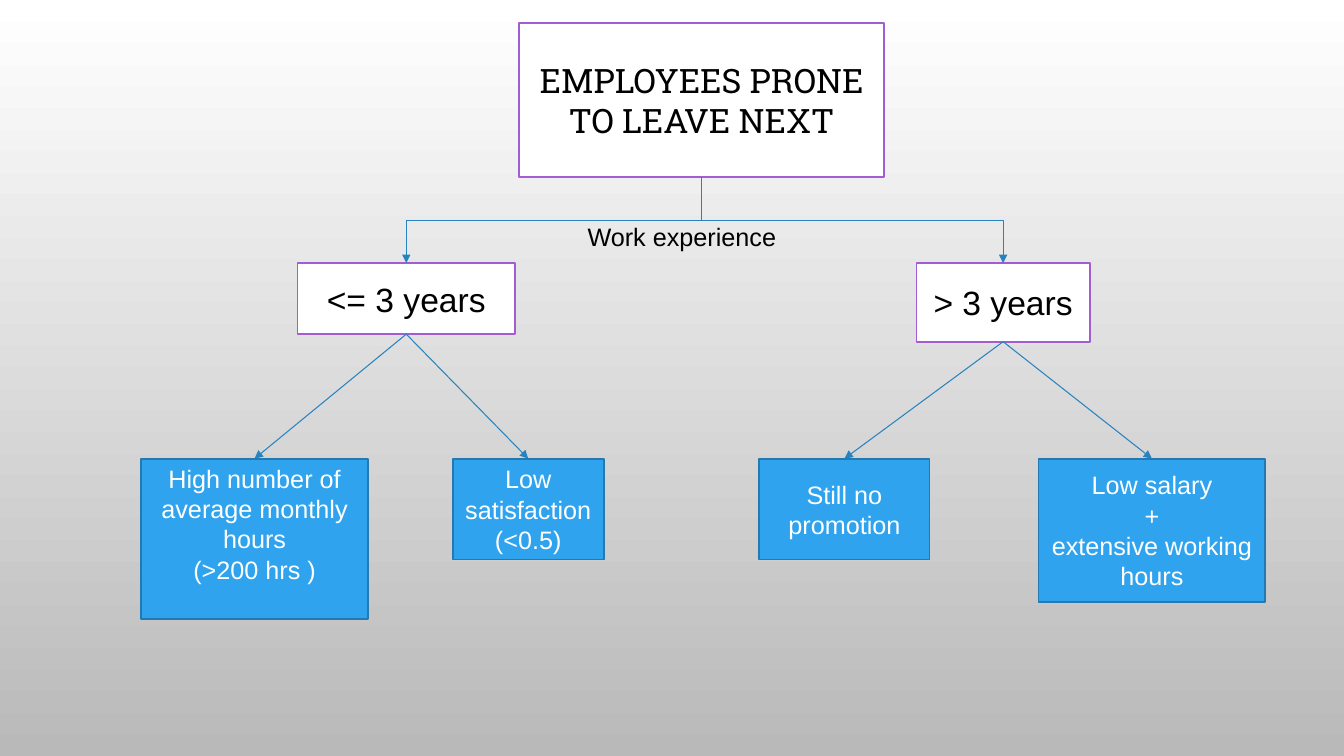
from pptx import Presentation
from pptx.dml.color import RGBColor
from pptx.enum.shapes import MSO_CONNECTOR, MSO_SHAPE
from pptx.enum.text import MSO_ANCHOR, MSO_AUTO_SIZE, PP_ALIGN
from pptx.oxml.ns import qn
from pptx.util import Inches, Pt
from lxml import etree

RECTANGLE = MSO_SHAPE.RECTANGLE
STRAIGHT, ELBOW = MSO_CONNECTOR.STRAIGHT, MSO_CONNECTOR.ELBOW
MIDDLE, CENTER, LEFT = MSO_ANCHOR.MIDDLE, PP_ALIGN.CENTER, PP_ALIGN.LEFT
TOP_SIDE, BOTTOM_SIDE = 0, 2

THEME = {
    "sky": ["FFFFFF", "B9B9B9"],
    "question": {"fill": "FFFFFF", "line": "A35DD1", "text": "000000", "size": 24},
    "reason": {"fill": "2FA3EE", "line": "2379B0", "text": "FFFFFF", "size": 18},
    "caption": {"text": "000000", "size": 18},
    "branch": "2683BF",
    "border": 1.25,
    "branch_width": 0.75,
    "title_font": "Roboto Slab",
    "font": "Arial",
}

deck = Presentation()
deck.slide_width, deck.slide_height = Inches(13.33), Inches(7.5)
slide = deck.slides.add_slide(deck.slide_layouts[6])
column, row = deck.slide_width / 100, deck.slide_height / 100

backdrop = slide.background.fill
backdrop.gradient()
backdrop.gradient_angle = 270
for stop, shade, position in zip(backdrop.gradient_stops, THEME["sky"], (0, 1)):
    stop.color.rgb = RGBColor.from_string(shade)
    stop.position = position


def write(frame, lines, style, font, align):
    frame.text = "\n".join(lines)
    for paragraph in frame.paragraphs:
        paragraph.alignment = align
        text_format = {"name": font, "size": Pt(style["size"])}
        for attribute, value in text_format.items():
            setattr(paragraph.font, attribute, value)
        paragraph.font.color.rgb = RGBColor.from_string(style["text"])


def branch(kind, parent, child):
    arrow = slide.shapes.add_connector(kind, 0, 0, 0, 0)
    arrow.begin_connect(parent, BOTTOM_SIDE)
    arrow.end_connect(child, TOP_SIDE)
    arrow.line.color.rgb = RGBColor.from_string(THEME["branch"])
    arrow.line.width = Pt(THEME["branch_width"])
    etree.SubElement(arrow.line._get_or_add_ln(), qn("a:tailEnd"), type="triangle")
    etree.SubElement(arrow._element.spPr, qn("a:effectLst"))
    return arrow


REASON_TOP = 60.67
tree_nodes = {
    "root": ("question", 38.63, 3.07, 27.16, 20.4, ["EMPLOYEES PRONE TO LEAVE NEXT"]),
    "junior": ("question", 22.13, 34.8, 16.2, 9.4, ["<= 3 years"]),
    "senior": ("question", 68.19, 34.8, 12.9, 10.4, ["> 3 years"]),
    "satisfaction": ("reason", 33.68, REASON_TOP, 11.25, 13.33, ["Low satisfaction", "(<0.5)"]),
    "hours": ("reason", 10.5, REASON_TOP, 16.88, 21.2,
              ["High number of average monthly hours", "(>200 hrs )"]),
    "promotion": ("reason", 56.49, REASON_TOP, 12.68, 13.33, ["Still no promotion"]),
    "salary": ("reason", 77.27, REASON_TOP, 16.88, 18.93,
               ["Low salary", "+", "extensive working hours"]),
}

nodes = {}
for key, (role, x, y, width, height, lines) in tree_nodes.items():
    style = THEME[role]
    node = slide.shapes.add_shape(RECTANGLE, int(x * column), int(y * row),
                                  int(width * column), int(height * row))
    node.shadow.inherit = False
    node.fill.solid()
    node.fill.fore_color.rgb = RGBColor.from_string(style["fill"])
    node.line.color.rgb = RGBColor.from_string(style["line"])
    node.line.width = Pt(THEME["border"])
    node.text_frame.word_wrap = True
    node.text_frame.vertical_anchor = MIDDLE
    font = THEME["title_font"] if key == "root" else THEME["font"]
    write(node.text_frame, lines, style, font, CENTER)
    nodes[key] = node
nodes["hours"].text_frame.margin_bottom = int(4.67 * row)

for parent, child in [("junior", "hours"), ("junior", "satisfaction"),
                      ("senior", "promotion"), ("senior", "salary")]:
    branch(STRAIGHT, nodes[parent], nodes[child])

for child, quarter_turns, flip in [("junior", 1, "0"), ("senior", 3, "1")]:
    elbow = branch(ELBOW, nodes["root"], nodes[child])
    span, drop = elbow.width, elbow.height
    turned_box = {"left": elbow.left + (span - drop) // 2,
                  "top": elbow.top + (drop - span) // 2,
                  "width": drop, "height": span}
    for attribute, value in turned_box.items():
        setattr(elbow, attribute, value)
    transform = elbow._element.spPr.find(qn("a:xfrm"))
    transform.set("rot", str(quarter_turns * 5400000))
    transform.set("flipH", flip)

caption = slide.shapes.add_textbox(int(42.98 * column), int(28.67 * row),
                                   int(15.75 * column), int(5.33 * row))
caption.text_frame.word_wrap = False
caption.text_frame.auto_size = MSO_AUTO_SIZE.SHAPE_TO_FIT_TEXT
write(caption.text_frame, ["Work experience"], THEME["caption"], THEME["font"], LEFT)

deck.save("out.pptx")
